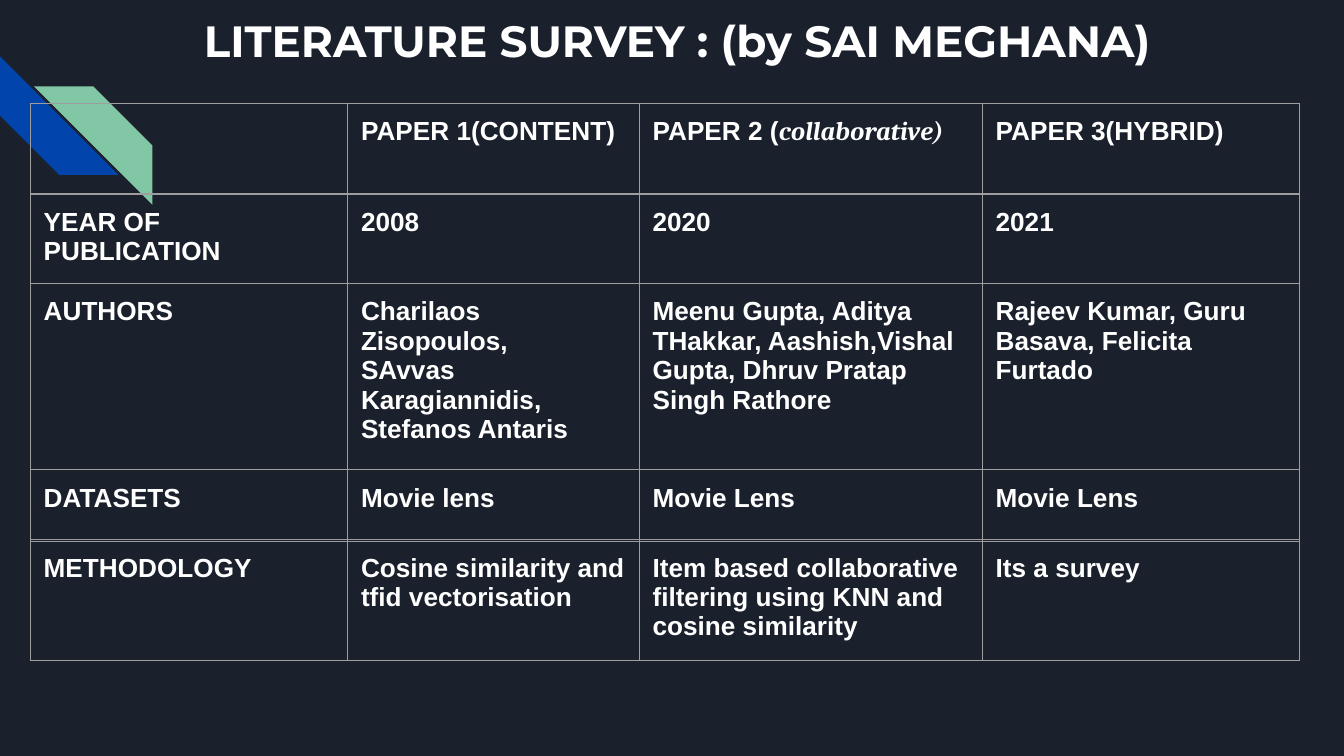
from lxml.etree import SubElement
from pptx import Presentation
from pptx.dml.color import RGBColor
from pptx.enum.shapes import MSO_SHAPE as Shape
from pptx.enum.text import MSO_ANCHOR as Anchor
from pptx.oxml.ns import qn
from pptx.util import Pt


def rgb(color):
    return RGBColor.from_string(color)


class Deck:
    back, ink, border = "1B212C", "FFFFFF", "9E9E9E"
    inset = Pt(7.2)

    def __init__(self, width, height):
        self.prs = Presentation()
        self.prs.slide_width, self.prs.slide_height = Pt(width), Pt(height)
        self.s = self.prs.slides.add_slide(self.prs.slide_layouts[6])
        fill = self.s.background.fill
        fill.solid()
        fill.fore_color.rgb = rgb(self.back)

    def run(self, p, text, font="Arial", size=14, italic=False):
        r = p.add_run()
        r.text = text
        f = r.font
        f.name, f.size, f.bold, f.italic = font, Pt(size), True, italic
        f.color.rgb = rgb(self.ink)

    def margins(self, box):
        box.margin_left = box.margin_right = self.inset
        box.margin_top = box.margin_bottom = self.inset

    def title(self, text, left, top, width, height):
        tf = self.s.shapes.add_textbox(Pt(left), Pt(top), Pt(width), Pt(height)).text_frame
        tf.word_wrap = True
        tf.vertical_anchor = Anchor.TOP
        self.margins(tf)
        self.run(tf.paragraphs[0], text, font="Montserrat", size=23.4)

    def stripe(self, left, top, size, color, rotation):
        sp = self.s.shapes.add_shape(Shape.DIAGONAL_STRIPE, Pt(left), Pt(top), Pt(size), Pt(size))
        sp.rotation = rotation
        sp.adjustments[0] = 0.5
        sp.shadow.inherit = False
        sp.fill.solid()
        sp.fill.fore_color.rgb = rgb(color)
        sp.line.fill.background()

    def cell_borders(self, cell):
        """Outline all four sides; call before filling, as lines come first in the XML."""
        tc_pr = cell._tc.get_or_add_tcPr()
        for side in ("lnL", "lnR", "lnT", "lnB"):
            ln = SubElement(tc_pr, qn(f"a:{side}"), w=str(Pt(0.75)))
            SubElement(SubElement(ln, qn("a:solidFill")), qn("a:srgbClr"), val=self.border)

    def table(self, left, top, widths, heights, rows):
        """Each cell is a list of paragraphs; a paragraph is a list of (text, format) runs."""
        frame = self.s.shapes.add_table(len(heights), len(widths), Pt(left), Pt(top),
                                        Pt(sum(widths)), Pt(sum(heights)))
        table = frame.table
        table.first_row = table.horz_banding = False
        for column, width in zip(table.columns, widths):
            column.width = Pt(width)
        for row, height, contents in zip(table.rows, heights, rows):
            row.height = Pt(height)
            for cell, paragraphs in zip(row.cells, contents):
                self.margins(cell)
                self.cell_borders(cell)
                cell.fill.background()
                tf = cell.text_frame
                for i, runs in enumerate(paragraphs):
                    p = tf.add_paragraph() if i else tf.paragraphs[0]
                    for text, style in runs:
                        self.run(p, text, **style)


def plain(*lines):
    return [[(line, {})] for line in lines]


SURVEY = [
    [[], plain("PAPER 1(CONTENT)"),
     [[("PAPER 2 (", {}), ("collaborative)", {"font": "Cambria", "italic": True})]],
     plain("PAPER 3(HYBRID)")],
    [plain(t) for t in ("YEAR OF PUBLICATION", "2008", "2020", "2021")],
    [plain("AUTHORS"),
     plain("Charilaos Zisopoulos,", "SAvvas Karagiannidis,", "Stefanos Antaris"),
     plain("Meenu Gupta, Aditya THakkar, Aashish,Vishal Gupta, Dhruv Pratap Singh Rathore"),
     plain("Rajeev Kumar, Guru Basava, Felicita Furtado")],
    [plain(t) for t in ("DATASETS", "Movie lens", "Movie Lens", "Movie Lens")],
]
METHODOLOGY = [[plain(t) for t in (
    "METHODOLOGY",
    "Cosine similarity and tfid vectorisation",
    "Item based collaborative filtering using KNN and cosine similarity",
    "Its a survey")]]
COLUMNS = [170, 156.2, 183.8, 170]


def main():
    deck = Deck(720, 405)
    deck.stripe(0, 30.2, 63.5, "0145AC", rotation=270)
    deck.stripe(18.2, 46.3, 63.5, "82C7A5", rotation=90)
    deck.title("LITERATURE SURVEY : (by SAI MEGHANA)", 102.2, 0, 554.4, 55.4)
    deck.table(16.2, 55.4, COLUMNS, [48.6, 38.2, 99.7, 38.2], SURVEY)
    deck.table(16.2, 289.2, COLUMNS, [55.4], METHODOLOGY)
    deck.prs.save("out.pptx")


if __name__ == "__main__":
    main()
